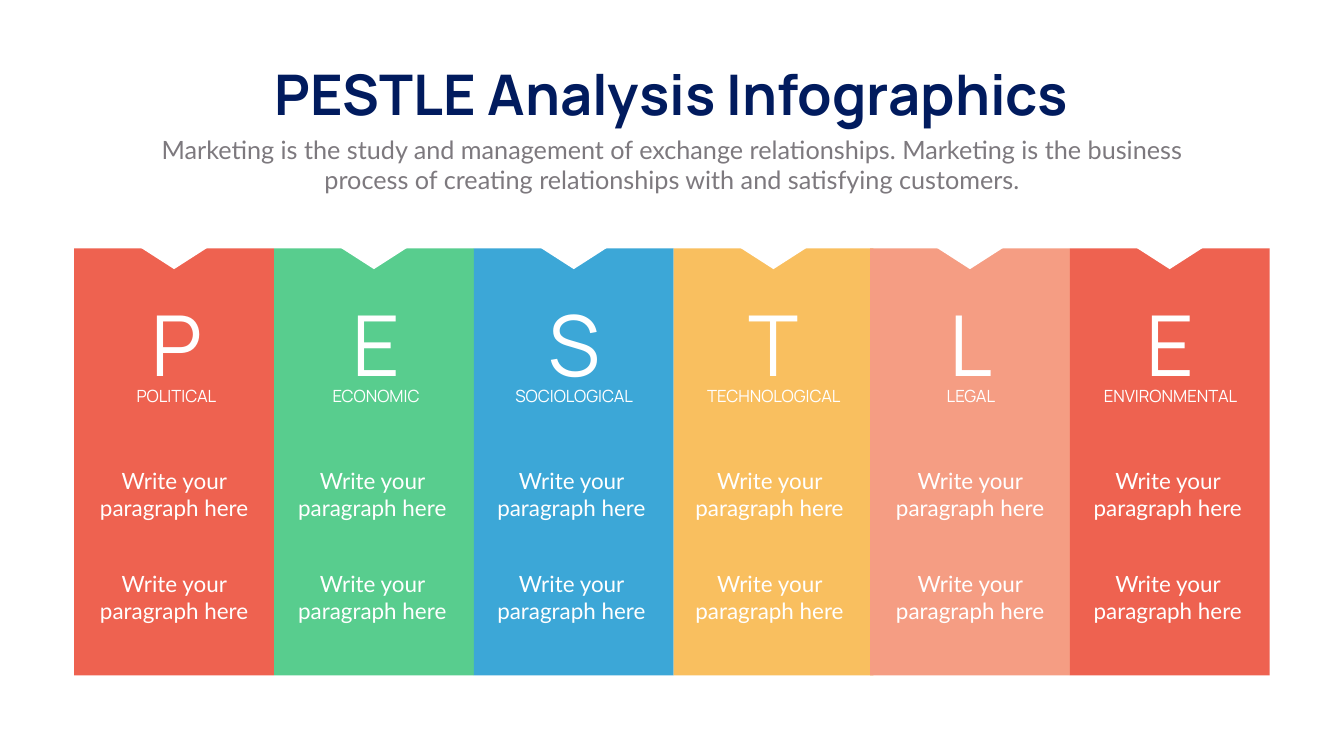
from collections import namedtuple
from dataclasses import dataclass

from pptx import Presentation
from pptx.dml.color import RGBColor
from pptx.enum.shapes import MSO_SHAPE
from pptx.enum.text import MSO_ANCHOR, MSO_AUTO_SIZE, PP_ALIGN
from pptx.util import Pt

RECTANGLE = MSO_SHAPE.RECTANGLE
TRIANGLE = MSO_SHAPE.ISOSCELES_TRIANGLE
MIDDLE = MSO_ANCHOR.MIDDLE
GROW = MSO_AUTO_SIZE.SHAPE_TO_FIT_TEXT
CENTER = PP_ALIGN.CENTER

Column = namedtuple("Column", "word left label_left body_left color")


@dataclass(frozen=True)
class Theme:
    """Fonts, type sizes and colours of the slide."""
    heading_font: str = "Manrope"
    body_font: str = "Lato"
    title_size: float = 80
    subtitle_size: float = 36
    letter_size: float = 120
    label_size: float = 24
    body_size: float = 32
    navy: str = "011B5E"
    gray: str = "7D797E"
    white: str = "FFFFFF"
    red: str = "EE6250"
    green: str = "58CD8E"
    blue: str = "3CA7D7"
    yellow: str = "F9BF5F"
    salmon: str = "F59D83"


THEME = Theme()
COLUMNS = [
    Column("POLITICAL", 106, 133.2, 133.2, THEME.red),
    Column("ECONOMIC", 391.4, 418.3, 416.2, THEME.green),
    Column("SOCIOLOGICAL", 676.8, 701.3, 700.6, THEME.blue),
    Column("TECHNOLOGICAL", 962, 986.4, 983.5, THEME.yellow),
    Column("LEGAL", 1242.7, 1267.9, 1270.1, THEME.salmon),
    Column("ENVIRONMENTAL", 1527.9, 1553, 1552.3, THEME.red),
]
COLUMN_WIDTH, COLUMN_TOP, COLUMN_HEIGHT = 285.3, 355, 609.8
NOTCH_WIDTH, NOTCH_TOP, NOTCH_HEIGHT = 96.5, 353.5, 31
LABEL_WIDTH, LETTER_WIDTH = 237.6, 102.2
BODY_TOPS = (663.1, 810)
BODY_TEXT = "Write your paragraph here"


def add_text(slide, text, *, box, size, font, color, bold=False, wrap=True):
    """Add a centred text box that grows to fit its text."""
    frame = slide.shapes.add_textbox(*map(Pt, box)).text_frame
    frame.word_wrap = wrap
    frame.auto_size = GROW
    frame.vertical_anchor = MIDDLE
    paragraph = frame.paragraphs[0]
    paragraph.alignment = CENTER
    run = paragraph.add_run()
    run.text = text
    run.font.name = font
    run.font.size = Pt(size)
    run.font.bold = bold
    run.font.color.rgb = RGBColor.from_string(color)


def add_block(group, kind, box, color, rotation=0):
    """Add a plain filled shape to the group."""
    shape = group.shapes.add_shape(kind, *map(Pt, box))
    shape.shadow.inherit = False
    shape.fill.solid()
    shape.fill.fore_color.rgb = RGBColor.from_string(color)
    shape.line.fill.background()
    shape.rotation = rotation


def add_heading(slide):
    """Add the title and the subtitle."""
    add_text(slide, "PESTLE Analysis Infographics", box=(357.1, 80.6, 1205.3, 104.4),
             size=THEME.title_size, font=THEME.heading_font, color=THEME.navy,
             bold=True, wrap=False)
    add_text(slide, "Marketing is the study and management of exchange relationships. "
             "Marketing is the business process of creating relationships with and "
             "satisfying customers.", box=(210.2, 187.9, 1499, 94.3),
             size=THEME.subtitle_size, font=THEME.body_font, color=THEME.gray)


def add_panel(group, column):
    """Add a coloured column with a notch centred in its top edge."""
    add_block(group, RECTANGLE, (column.left, COLUMN_TOP, COLUMN_WIDTH, COLUMN_HEIGHT),
              column.color)
    notch_left = column.left + (COLUMN_WIDTH - NOTCH_WIDTH) / 2
    add_block(group, TRIANGLE, (notch_left, NOTCH_TOP, NOTCH_WIDTH, NOTCH_HEIGHT),
              THEME.white, rotation=180)


def add_column_text(slide, column):
    """Add the initial, the label and the two paragraphs of a column."""
    letter_left = column.label_left + (LABEL_WIDTH - LETTER_WIDTH) / 2
    add_text(slide, column.word[0], box=(letter_left, 414, LETTER_WIDTH, 152.6),
             size=THEME.letter_size, font=THEME.heading_font, color=THEME.white)
    add_text(slide, column.word, box=(column.label_left, 547.9, LABEL_WIDTH, 36),
             size=THEME.label_size, font=THEME.heading_font, color=THEME.white)
    for top in BODY_TOPS:
        add_text(slide, BODY_TEXT, box=(column.body_left, top, 231.1, 85),
                 size=THEME.body_size, font=THEME.body_font, color=THEME.white)


def main():
    """Build and save the slide."""
    presentation = Presentation()
    presentation.slide_width = Pt(1919.52)
    presentation.slide_height = Pt(1080)
    slide = presentation.slides.add_slide(presentation.slide_layouts[6])
    panels = slide.shapes.add_group_shape()
    for column in COLUMNS:
        add_panel(panels, column)
    for column in COLUMNS:
        add_column_text(slide, column)
    add_heading(slide)
    presentation.save("out.pptx")


if __name__ == "__main__":
    main()
